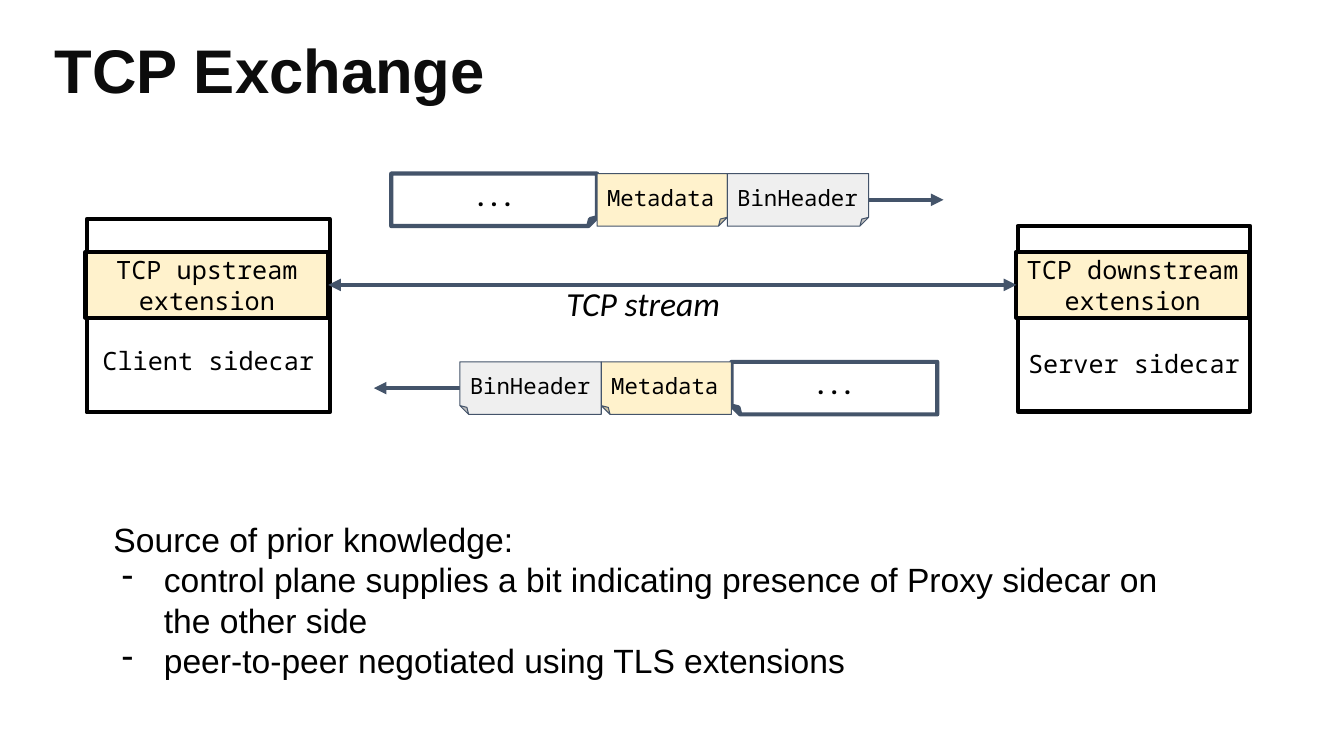
from lxml.etree import SubElement
from pptx import Presentation
from pptx.dml.color import RGBColor
from pptx.enum.shapes import MSO_CONNECTOR as Connector, MSO_SHAPE as Shape
from pptx.enum.text import MSO_ANCHOR as Anchor, PP_ALIGN as Align
from pptx.oxml.ns import qn
from pptx.util import Pt

COLORS = {"ink": "000000", "title": "0C0C0C", "slate": "44546A",
          "cream": "FFF2CC", "gray": "EFEFEF"}
MONO = "Noto Sans Mono"
INSET = 7.2
LABEL_DROP = 64  # extra top inset that puts a sidecar label below its extension

TITLE = "TCP Exchange"
STREAM = "TCP stream"
# label, extension, left, top, width, height
SIDECARS = [
    ("Client sidecar", "TCP upstream extension", 62, 156.5, 173.5, 138),
    ("Server sidecar", "TCP downstream extension", 727, 161.5, 166, 132.5),
]
EXTENSION_TOP, EXTENSION_HEIGHT, EXTENSION_SHIFT = 180, 47, -1

# x where payload and metadata meet, top, direction of travel, arrow tip
PACKETS = [(426.5, 124, 1, 674), (522.5, 258.5, -1, 267)]
PACKET_HEIGHT = 37.5
PAYLOAD = ("...", 147)
HEADERS = [("Metadata", 93, "cream"), ("BinHeader", 101, "gray")]

NOTES_HEAD = "Source of prior knowledge:"
NOTES = [
    "control plane supplies a bit indicating presence of Proxy sidecar on the other side",
    "peer-to-peer negotiated using TLS extensions",
]


def rgb(name):
    return RGBColor.from_string(COLORS[name])


def add_span(para, text, size, font, color="ink", bold=False, italic=False):
    span = para.add_run()
    span.text = text
    span.font.size, span.font.name = Pt(size), font
    span.font.bold, span.font.italic = bold, italic
    span.font.color.rgb = rgb(color)


def set_frame(frame, anchor, top_inset=INSET):
    frame.word_wrap = True
    frame.vertical_anchor = anchor
    frame.margin_left = frame.margin_right = frame.margin_bottom = Pt(INSET)
    frame.margin_top = Pt(top_inset)


def add_box(page, kind, place, fill, line, weight):
    box = page.shapes.add_shape(kind, *map(Pt, place))
    box.shadow.inherit = False
    if fill:
        box.fill.solid()
        box.fill.fore_color.rgb = rgb(fill)
    else:
        box.fill.background()
    box.line.color.rgb = rgb(line)
    box.line.width = Pt(weight)
    return box


def add_panel(page, place, text, fill=None, drop=0):
    """Add a black-edged rectangle with centred text."""
    box = add_box(page, Shape.RECTANGLE, place, fill, "ink", 3)
    set_frame(box.text_frame, Anchor.MIDDLE, INSET + drop)
    para = box.text_frame.paragraphs[0]
    para.alignment = Align.CENTER
    add_span(para, text, 18, MONO)
    return box


def add_segment(page, place, text, direction, fill=None):
    """Add one folded-corner part of a packet; the payload has no fill."""
    box = add_box(page, Shape.FOLDED_CORNER, place, fill, "slate", 0.75 if fill else 3)
    if direction < 0:
        box.element.spPr.find(qn("a:xfrm")).set("flipH", "1")
    set_frame(box.text_frame, Anchor.TOP)
    para = box.text_frame.paragraphs[0]
    para.alignment = Align.LEFT if fill else Align.CENTER
    add_span(para, text, 16, MONO, bold=not fill)


def add_arrow(page, x1, y1, x2, y2, ends):
    arrow = page.shapes.add_connector(Connector.STRAIGHT, *map(Pt, (x1, y1, x2, y2)))
    arrow.line.color.rgb = rgb("slate")
    arrow.line.width = Pt(3)
    line = arrow.line._get_or_add_ln()
    for end in ends:
        SubElement(line, qn(f"a:{end}"), type="triangle")
    SubElement(arrow.element.spPr, qn("a:effectLst"))
    return arrow


def add_packet(page, seam, top, direction, tip):
    def place(near, width):
        return min(near, near + direction * width), top, width, PACKET_HEIGHT

    middle = top + PACKET_HEIGHT / 2
    add_arrow(page, seam, middle, tip, middle, ["tailEnd"])
    text, width = PAYLOAD
    add_segment(page, place(seam - direction * width, width), text, direction)
    near = seam
    for text, width, fill in HEADERS:
        add_segment(page, place(near, width), text, direction, fill)
        near += direction * width


def add_text(page, place):
    box = page.shapes.add_textbox(*map(Pt, place))
    set_frame(box.text_frame, Anchor.TOP)
    return box.text_frame


def add_dash(para):
    props = para._p.get_or_add_pPr()
    props.set("marL", str(Pt(36)))
    props.set("indent", str(Pt(-30)))
    color = SubElement(props, qn("a:buClr"))
    SubElement(color, qn("a:srgbClr"), val=COLORS["ink"])
    SubElement(props, qn("a:buChar"), char="-")


def main():
    deck = Presentation()
    deck.slide_width, deck.slide_height = Pt(960), Pt(540)
    page = deck.slides.add_slide(deck.slide_layouts[5])

    title = page.shapes.title
    title.left, title.top, title.width, title.height = map(Pt, (32, 0, 828, 104.5))
    title.text_frame.vertical_anchor = Anchor.MIDDLE
    para = title.text_frame.paragraphs[0]
    para.alignment = Align.LEFT
    para.line_spacing = 0.9
    add_span(para, TITLE, 44, "Arial", "title", bold=True)

    extensions = []
    for label, extension, left, top, width, height in SIDECARS:
        add_panel(page, (left, top, width, height), label, drop=LABEL_DROP)
        place = (left + EXTENSION_SHIFT, EXTENSION_TOP, width, EXTENSION_HEIGHT)
        extensions.append(add_panel(page, place, extension, "cream"))

    stream = add_arrow(page, 234.5, 203.5, 726, 203.5, ["headEnd", "tailEnd"])
    client, server = extensions
    stream.begin_connect(client, 3)
    stream.end_connect(server, 1)
    label = add_text(page, (397.5, 195, 125.5, 47))
    add_span(label.paragraphs[0], STREAM, 24, "Calibri", italic=True)

    for packet in PACKETS:
        add_packet(page, *packet)

    notes = add_text(page, (74, 363.5, 770.5, 159))
    add_span(notes.paragraphs[0], NOTES_HEAD, 24, "Arial")
    for note in NOTES:
        para = notes.add_paragraph()
        add_dash(para)
        add_span(para, note, 24, "Arial")

    deck.save("out.pptx")


if __name__ == "__main__":
    main()
